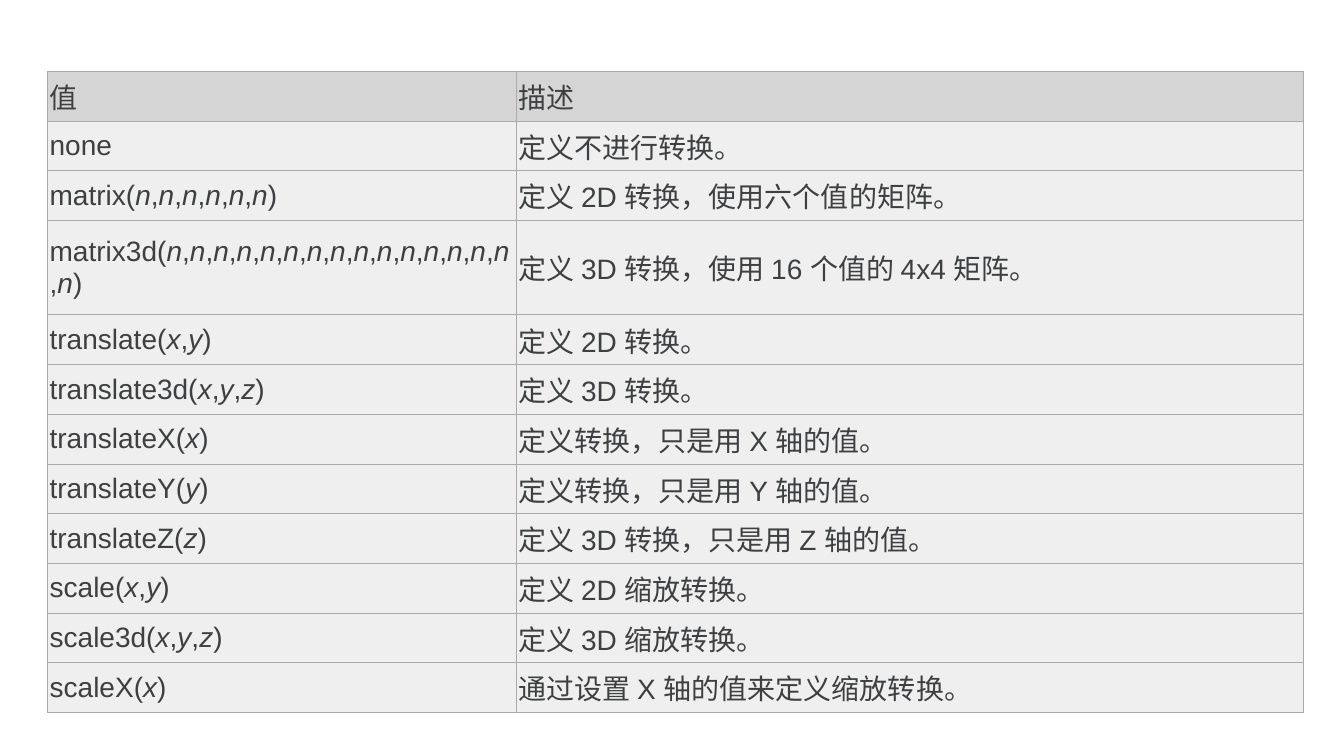
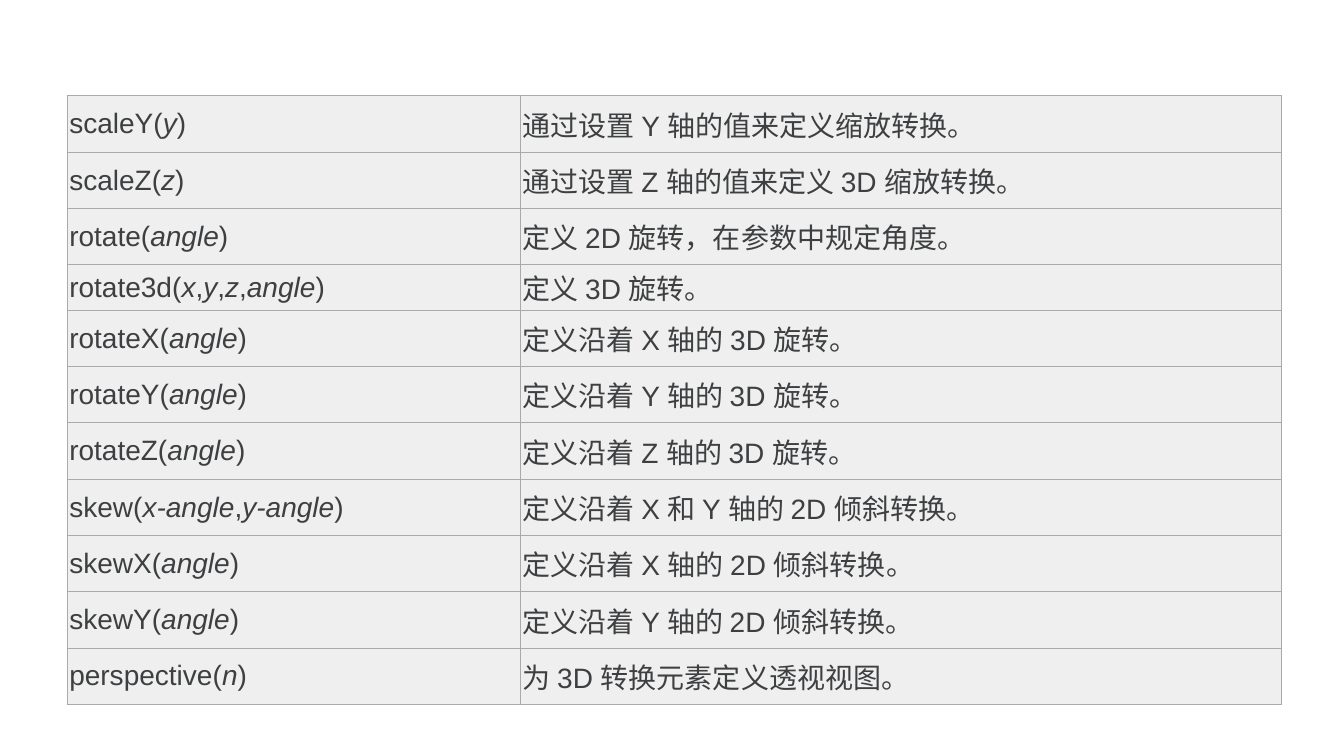
from pptx import Presentation
from pptx.dml.color import RGBColor as Rgb
from pptx.enum.text import MSO_ANCHOR as Anchor
from pptx.oxml.ns import qn
from pptx.util import Pt
from lxml.etree import SubElement as Sub

INK = Rgb(0x3D, 0x3F, 0x41)
HEAD = Rgb(0xD5, 0xD5, 0xD5)
BODY = Rgb(0xEF, 0xEF, 0xEF)
EDGE = Rgb(0xAA, 0xAA, 0xAA)
FONT = "Arial"
SIZE = Pt(20)
PAD = Pt(1.5)

TITLES = ("值", "描述")
MOVES = [
    ("none", "定义不进行转换。"),
    ("matrix(n,n,n,n,n,n)", "定义 2D 转换，使用六个值的矩阵。"),
    ("matrix3d(n,n,n,n,n,n,n,n,n,n,n,n,n,n,n,n)",
     "定义 3D 转换，使用 16 个值的 4x4 矩阵。"),
    ("translate(x,y)", "定义 2D 转换。"),
    ("translate3d(x,y,z)", "定义 3D 转换。"),
    ("translateX(x)", "定义转换，只是用 X 轴的值。"),
    ("translateY(y)", "定义转换，只是用 Y 轴的值。"),
    ("translateZ(z)", "定义 3D 转换，只是用 Z 轴的值。"),
    ("scale(x,y)", "定义 2D 缩放转换。"),
    ("scale3d(x,y,z)", "定义 3D 缩放转换。"),
    ("scaleX(x)", "通过设置 X 轴的值来定义缩放转换。"),
]
TURNS = [
    ("scaleY(y)", "通过设置 Y 轴的值来定义缩放转换。"),
    ("scaleZ(z)", "通过设置 Z 轴的值来定义 3D 缩放转换。"),
    ("rotate(angle)", "定义 2D 旋转，在参数中规定角度。"),
    ("rotate3d(x,y,z,angle)", "定义 3D 旋转。"),
    ("rotateX(angle)", "定义沿着 X 轴的 3D 旋转。"),
    ("rotateY(angle)", "定义沿着 Y 轴的 3D 旋转。"),
    ("rotateZ(angle)", "定义沿着 Z 轴的 3D 旋转。"),
    ("skew(x-angle,y-angle)", "定义沿着 X 和 Y 轴的 2D 倾斜转换。"),
    ("skewX(angle)", "定义沿着 X 轴的 2D 倾斜转换。"),
    ("skewY(angle)", "定义沿着 Y 轴的 2D 倾斜转换。"),
    ("perspective(n)", "为 3D 转换元素定义透视视图。"),
]


def split_call(text):
    name, mark, rest = text.partition("(")
    parts = [(name + mark, False)]
    if mark:
        for arg in rest.rstrip(")").split(","):
            parts += [(arg, True), (",", False)]
        parts[-1] = (")", False)
    return parts


def add_edges(cell):
    props = cell._tc.get_or_add_tcPr()
    for side in ("a:lnL", "a:lnR", "a:lnT", "a:lnB"):
        line = Sub(props, qn(side), w=str(Pt(0.75)))
        fill = Sub(line, qn("a:solidFill"))
        Sub(fill, qn("a:srgbClr"), val=str(EDGE))


def fill_cell(cell, text, shade):
    add_edges(cell)
    cell.fill.solid()
    cell.fill.fore_color.rgb = shade
    cell.vertical_anchor = Anchor.MIDDLE
    cell.margin_left = cell.margin_top = cell.margin_bottom = PAD
    cell.margin_right = Pt(3.6)
    para = cell.text_frame.paragraphs[0]
    for part, slant in split_call(text):
        run = para.add_run()
        run.text = part
        font = run.font
        font.name, font.size, font.italic = FONT, SIZE, slant
        font.color.rgb = INK


def add_grid(deck, rows, left, top, widths, heights, titled=False):
    slide = deck.slides.add_slide(deck.slide_layouts[6])
    frame = slide.shapes.add_table(
        len(rows), len(widths), Pt(left), Pt(top),
        Pt(sum(widths)), Pt(sum(heights)))
    table = frame.table
    table.first_row = titled
    table.horz_banding = False
    for col, width in zip(table.columns, widths):
        col.width = Pt(width)
    for i, (row, height) in enumerate(zip(table.rows, heights)):
        row.height = Pt(height)
        shade = HEAD if titled and i == 0 else BODY
        for cell, text in zip(row.cells, rows[i]):
            fill_cell(cell, text, shade)


def main():
    deck = Presentation()
    deck.slide_width, deck.slide_height = Pt(960), Pt(540)
    add_grid(deck, [TITLES] + MOVES, 34, 51, (335, 562),
             [35.5] * 3 + [67.5] + [35.5] * 8, titled=True)
    add_grid(deck, TURNS, 48, 68.5, (324, 543.5),
             [40.25] * 3 + [32.4] + [40.25] * 7)
    deck.save("out.pptx")


if __name__ == "__main__":
    main()
